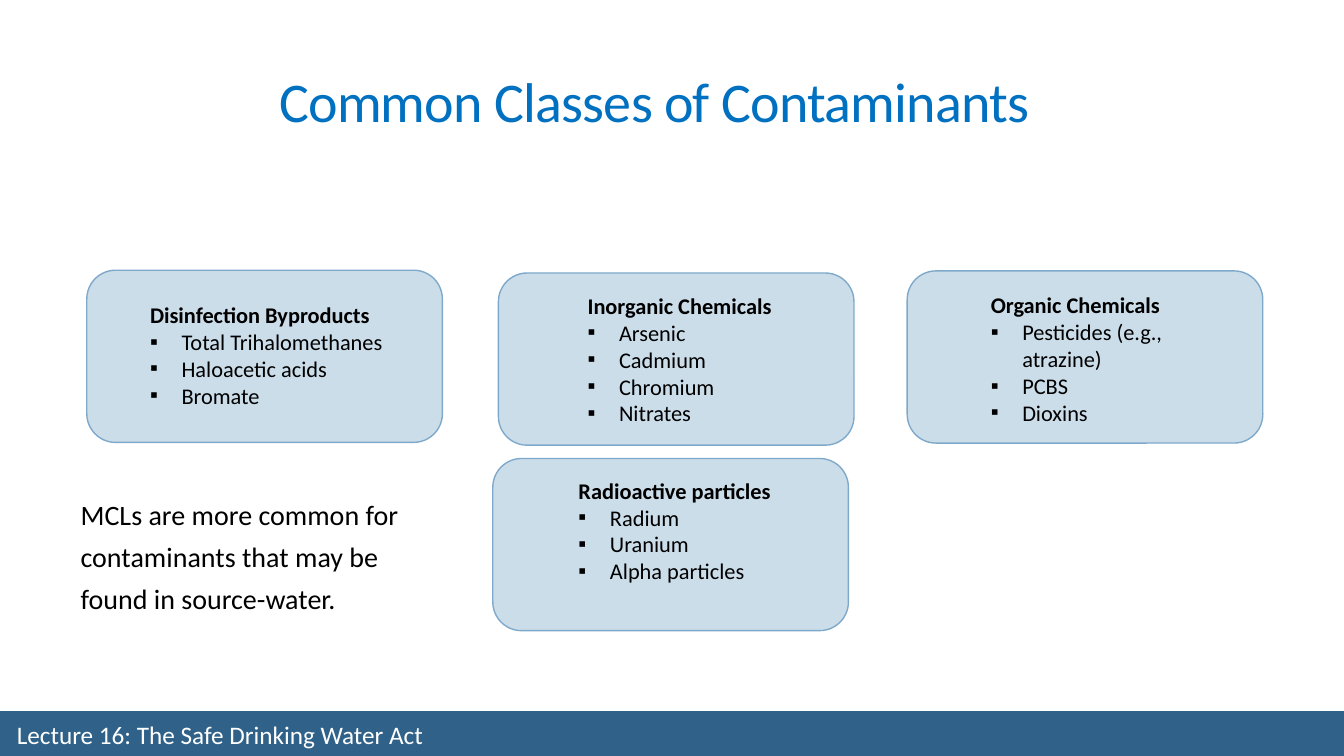
from lxml import etree
from pptx import Presentation
from pptx.dml.color import RGBColor
from pptx.enum.shapes import MSO_SHAPE
from pptx.enum.text import MSO_ANCHOR, MSO_AUTO_SIZE, PP_ALIGN
from pptx.oxml.ns import qn
from pptx.util import Pt

RECTANGLE, ROUNDED = MSO_SHAPE.RECTANGLE, MSO_SHAPE.ROUNDED_RECTANGLE
TOP, MIDDLE, BOTTOM = MSO_ANCHOR.TOP, MSO_ANCHOR.MIDDLE, MSO_ANCHOR.BOTTOM
LEFT, CENTER = PP_ALIGN.LEFT, PP_ALIGN.CENTER
NO_FIT = MSO_AUTO_SIZE.NONE
COMPARISON_LAYOUT = 4
CARD_WIDTH, CARD_HEIGHT = 254, 123
LIST_WIDTH, LIST_INDENT = 185, 22.5

# heading, items, card corner, list corner
CONTAMINANTS = [
    ("Disinfection Byproducts",
     ["Total Trihalomethanes", "Haloacetic acids", "Bromate"],
     (62, 193), (100, 211.5)),
    ("Inorganic Chemicals",
     ["Arsenic", "Cadmium", "Chromium", "Nitrates"],
     (356, 195), (412.5, 205)),
    ("Organic Chemicals",
     ["Pesticides (e.g., atrazine)", "PCBS", "Dioxins"],
     (648, 193.5), (700.5, 204.5)),
    ("Radioactive particles",
     ["Radium", "Uranium", "Alpha particles"],
     (352, 327.5), (406, 337)),
]


def colour(hex_string):
    return RGBColor.from_string(hex_string)


class LectureSlide:
    font = "Calibri"
    black, white = "000000", "FFFFFF"
    title_blue, bar_blue = "0070C0", "306289"
    card_fill, card_line = "CCDDEA", "7EA9CA"

    def __init__(self, slide):
        self.slide = slide

    def panel(self, kind, left, top, width, height, fill, line=None):
        panel = self.slide.shapes.add_shape(
            kind, Pt(left), Pt(top), Pt(width), Pt(height))
        panel.shadow.inherit = False
        panel.fill.solid()
        panel.fill.fore_color.rgb = colour(fill)
        if line:
            panel.line.color.rgb = colour(line)
            panel.line.width = Pt(1)
        else:
            panel.line.fill.background()

    def place(self, holder, left, top, width, height, anchor):
        """Move a placeholder to the front, set its box and return its text frame."""
        self.slide.shapes._spTree.append(holder._element)
        holder.left, holder.top = Pt(left), Pt(top)
        holder.width, holder.height = Pt(width), Pt(height)
        return self.format_frame(holder.text_frame, anchor)

    def format_frame(self, frame, anchor):
        frame.word_wrap = True
        frame.auto_size = NO_FIT
        frame.vertical_anchor = anchor
        frame.margin_left = frame.margin_right = Pt(7.2)
        frame.margin_top = frame.margin_bottom = Pt(3.6)
        return frame

    def add_run(self, paragraph, text, size, ink, bold=False, align=LEFT, spacing=1.0):
        paragraph.alignment = align
        paragraph.line_spacing = spacing
        paragraph.space_before = Pt(0)
        run = paragraph.add_run()
        run.text = text
        run.font.name, run.font.size, run.font.bold = self.font, Pt(size), bold
        run.font.color.rgb = colour(ink)
        return run

    def title(self, text, *box):
        frame = self.place(self.slide.shapes.title, *box, BOTTOM)
        run = self.add_run(frame.paragraphs[0], text, 40, self.title_blue,
                           align=CENTER, spacing=0.85)
        run.font._element.set("spc", "-50")

    def text(self, text, box, size, ink, anchor=TOP, spacing=1.0):
        label = self.slide.shapes.add_textbox(*map(Pt, box))
        frame = self.format_frame(label.text_frame, anchor)
        self.add_run(frame.paragraphs[0], text, size, ink, spacing=spacing)

    def bullet(self, paragraph, symbol=None):
        """Give a paragraph a hanging bullet, or none without a symbol."""
        indent = Pt(LIST_INDENT) if symbol else 0
        properties = paragraph._p.get_or_add_pPr()
        properties.set("marL", str(indent))
        properties.set("indent", str(-indent))
        mark = etree.SubElement(properties, qn("a:buChar" if symbol else "a:buNone"))
        if symbol:
            mark.set("char", symbol)

    def headed_list(self, holder, heading, items, left, top):
        height = 8 + 19.3 * (len(items) + 1)
        frame = self.place(holder, left, top, LIST_WIDTH, height, TOP)
        first = frame.paragraphs[0]
        self.bullet(first)
        self.add_run(first, heading, 16, self.black, bold=True)
        for item in items:
            paragraph = frame.add_paragraph()
            self.bullet(paragraph, "▪")
            self.add_run(paragraph, item, 16, self.black)


def main():
    deck = Presentation()
    deck.slide_width, deck.slide_height = Pt(960), Pt(540)
    slide = deck.slides.add_slide(deck.slide_layouts[COMPARISON_LAYOUT])
    lecture = LectureSlide(slide)
    list_holders = [p for p in slide.placeholders if p.placeholder_format.idx]

    lecture.panel(RECTANGLE, 0, 508, 960, 33, lecture.bar_blue)
    lecture.text("Lecture 16: The Safe Drinking Water Act", (5, 513, 475, 23),
                 18, lecture.white, MIDDLE)
    lecture.title("Common Classes of Contaminants", 183, 12, 569, 87)
    for holder, (heading, items, card, corner) in zip(list_holders, CONTAMINANTS):
        lecture.panel(ROUNDED, *card, CARD_WIDTH, CARD_HEIGHT,
                      lecture.card_fill, lecture.card_line)
        lecture.headed_list(holder, heading, items, *corner)
    lecture.text("MCLs are more common for contaminants that may be found in source-water.",
                 (50.5, 345.5, 277, 96), 20, lecture.black, spacing=1.25)

    deck.save("out.pptx")


if __name__ == "__main__":
    main()
